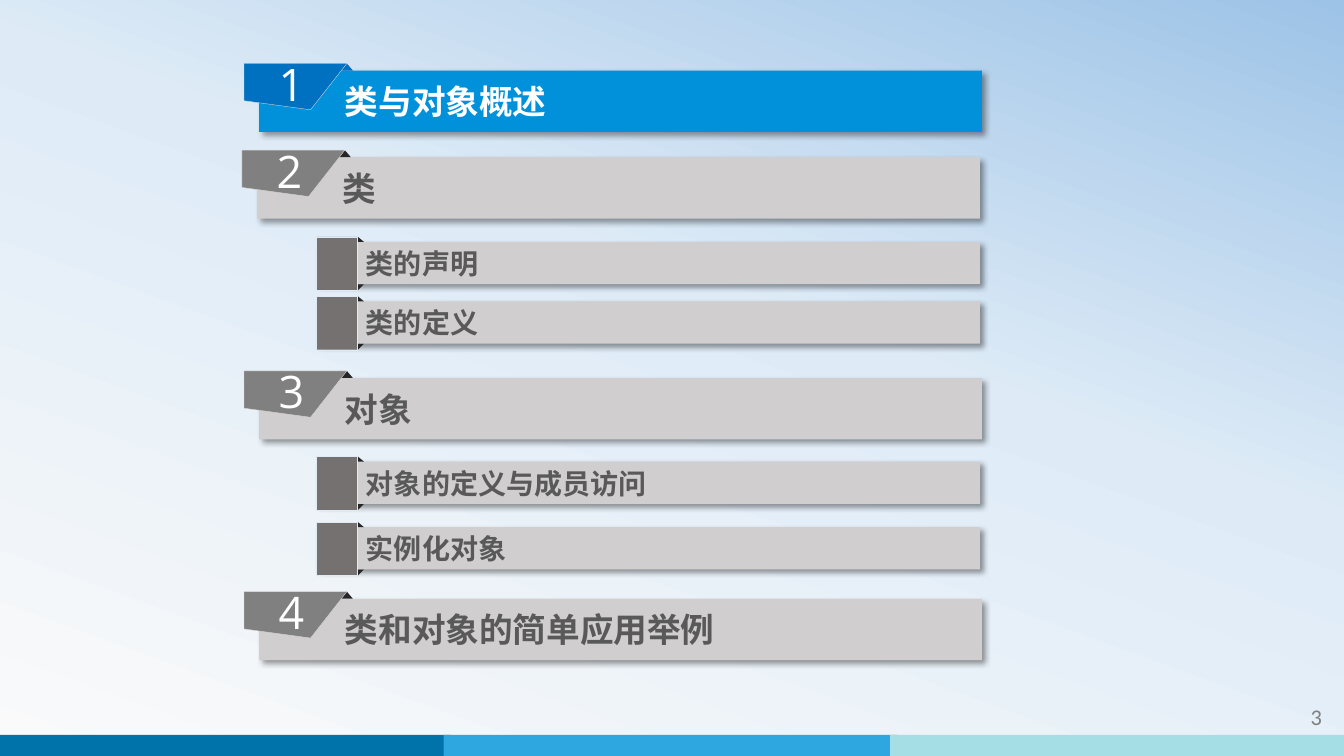
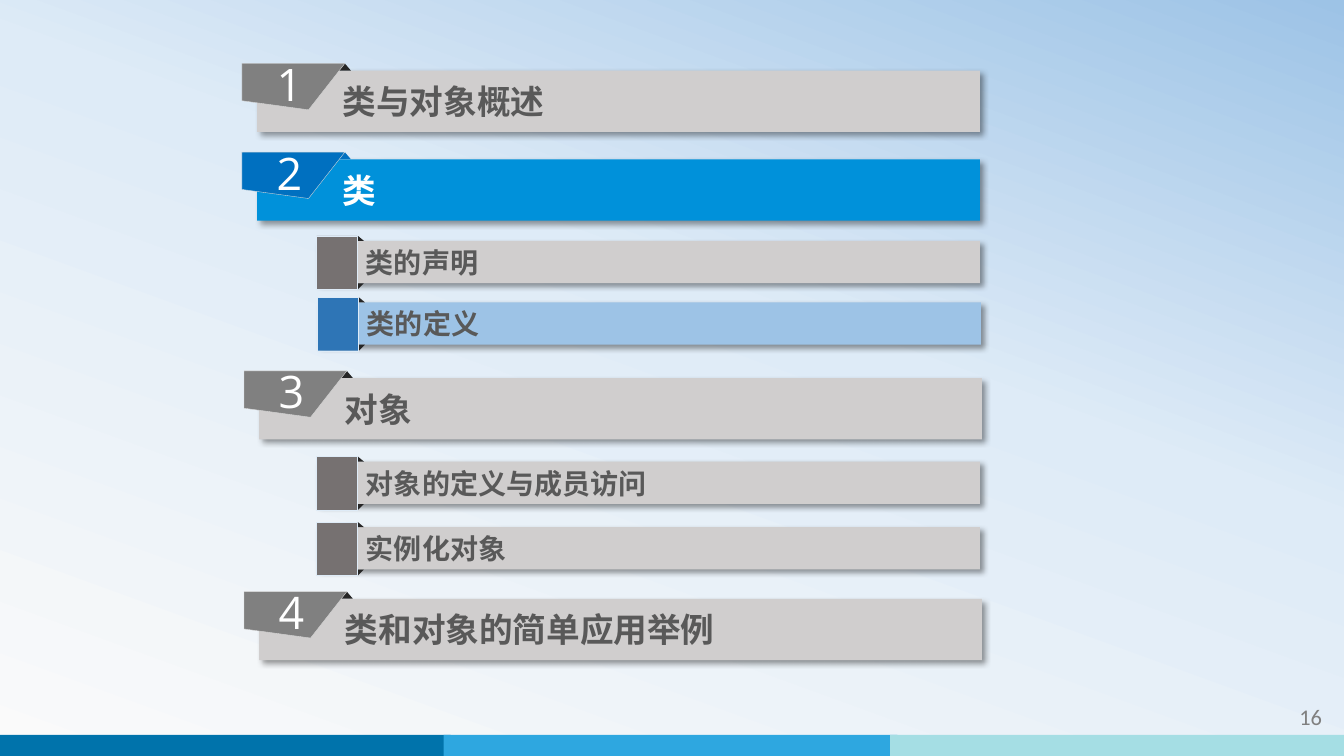
"""Build two agenda slides that highlight the current section."""
from dataclasses import dataclass
from copy import deepcopy

from lxml.etree import SubElement
from pptx import Presentation
from pptx.dml.color import RGBColor
from pptx.enum.shapes import MSO_SHAPE as SHAPE
from pptx.enum.text import MSO_ANCHOR as ANCHOR, PP_ALIGN as ALIGN
from pptx.oxml.ns import qn
from pptx.util import Inches, Pt

COLORS = {
    "white": "FFFFFF", "text": "595959", "page": "808080",
    "bar": "D0CECE", "tab": "808080", "marker": "767171", "fold": "262626",
    "bar_on": "0091DA", "tab_on": "0070C0",
    "sub_on": "9DC3E6", "marker_on": "2E75B6",
    "tab_line": "D9D9D9", "marker_line": "DEEBF7", "shadow": "000000",
    "band1": "0073AB", "band2": "2EA7E0", "band3": "A5DEE4",
    "bg1": "FAFAFA", "bg2": "DEEBF7", "bg3": "9DC3E6",
}
CJK, NUMBER, PAGE = "Noto Sans CJK SC", "Open Sans", "Calibri"
BACKGROUND = (("bg1", 0), ("bg2", 0.58), ("bg3", 1))
BANDS = (("band1", -0.03), ("band2", 4.4), ("band3", 8.83))
TAB = ((0, 0), (1.02, 0), (0.66, 0.46), (0, 0.37))


@dataclass(frozen=True)
class Section:
    number: str
    title: str
    left: float
    top: float
    active: bool = False


@dataclass(frozen=True)
class Topic:
    title: str
    left: float
    top: float
    active: bool = False


@dataclass(frozen=True)
class Agenda:
    page: str
    entries: tuple


def rgb(name: str) -> RGBColor:
    return RGBColor.from_string(COLORS[name])


def paint(sp, fill: str, line: str = "") -> None:
    sp.shadow.inherit = False
    sp.fill.solid()
    sp.fill.fore_color.rgb = rgb(fill)
    if line:
        sp.line.color.rgb = rgb(line)
        sp.line.width = Pt(0.25)
    else:
        sp.line.fill.background()


def add_box(shapes, kind, box: tuple, fill: str, line: str = ""):
    sp = shapes.add_shape(kind, *map(Inches, box))
    paint(sp, fill, line)
    return sp


def add_shadow(sp) -> None:
    effects = sp._element.spPr.find(qn("a:effectLst"))
    shadow = SubElement(effects, qn("a:outerShdw"), blurRad=str(Pt(4)),
                        dist=str(Pt(3)), dir="2700000", algn="tl", rotWithShape="0")
    color = SubElement(shadow, qn("a:srgbClr"), val=COLORS["shadow"])
    SubElement(color, qn("a:alpha"), val="40000")


def write(sp, text: str, size: int, font: str, color: str, align, bold: bool = False):
    tf = sp.text_frame
    tf.word_wrap = True
    tf.vertical_anchor = ANCHOR.MIDDLE
    p = tf.paragraphs[0]
    p.alignment = align
    r = p.add_run()
    r.text = text
    r.font.size, r.font.name, r.font.bold = Pt(size), font, bold
    r.font.color.rgb = rgb(color)
    SubElement(r._r.get_or_add_rPr(), qn("a:ea"), typeface=font)
    return tf


def add_bar(shapes, box: tuple, fill: str, title: str, size: int, color: str,
            indent: float) -> None:
    sp = add_box(shapes, SHAPE.RECTANGLE, box, fill)
    add_shadow(sp)
    write(sp, title, size, CJK, color, ALIGN.LEFT, True).margin_left = Inches(indent)


def add_section(s, item: Section) -> None:
    shapes = s.shapes.add_group_shape().shapes
    x, y, on = item.left, item.top, item.active
    add_bar(shapes, (x + 0.15, y + 0.07, 7.17, 0.61), "bar_on" if on else "bar",
            item.title, 24, "white" if on else "text", 0.85)
    add_box(shapes, SHAPE.ISOSCELES_TRIANGLE, (x + 0.96, y, 0.12, 0.07),
            "tab_on" if on else "fold")
    points = [(Inches(x + dx), Inches(y + dy)) for dx, dy in TAB]
    builder = shapes.build_freeform(*points[0])
    builder.add_line_segments(points[1:], close=True)
    tab = builder.convert_to_shape()
    paint(tab, "tab_on" if on else "tab", "tab_line")
    tf = write(tab, item.number, 32, NUMBER, "white", ALIGN.CENTER)
    tf.margin_left, tf.margin_top = Inches(0.09), Inches(0.04)
    tf.margin_right, tf.margin_bottom = Inches(0.17), Inches(0.1)


def add_topic(s, item: Topic) -> None:
    shapes = s.shapes.add_group_shape().shapes
    x, y, on = item.left, item.top, item.active
    add_bar(shapes, (x + 0.01, y + 0.05, 6.57, 0.42), "sub_on" if on else "bar",
            item.title, 20, "text", 0.48)
    for top, height, turn in ((y, 0.05, 0), (y + 0.47, 0.06, 180)):
        fold = add_box(shapes, SHAPE.ISOSCELES_TRIANGLE,
                       (x + 0.35, top, 0.12, height), "fold")
        fold.rotation = turn
    add_box(shapes, SHAPE.RECTANGLE, (x, y, 0.4, 0.53),
            "marker_on" if on else "marker", "marker_line")


def set_background(master) -> None:
    fill = master.background.fill
    fill.gradient()
    fill.gradient_angle = 70
    stops = master.element.find(".//" + qn("a:gsLst"))
    stops.append(deepcopy(stops[-1]))
    for stop, (name, position) in zip(fill.gradient_stops, BACKGROUND):
        stop.color.rgb = rgb(name)
        stop.position = position


def add_footer(s, page: str) -> None:
    shapes = s.shapes.add_group_shape().shapes
    for name, left in BANDS:
        add_box(shapes, SHAPE.RECTANGLE, (left, 7.29, 4.5, 0.21), name)
    sp = s.shapes.add_textbox(*map(Inches, (11.62, 6.91, 1.59, 0.4)))
    write(sp, page, 16, PAGE, "page", ALIGN.RIGHT)


def add_agenda(prs, agenda: Agenda) -> None:
    s = prs.slides.add_slide(prs.slide_layouts[6])
    add_footer(s, agenda.page)
    for item in agenda.entries:
        if isinstance(item, Section):
            add_section(s, item)
        else:
            add_topic(s, item)


LATER = (
    Section("3", "对象", 2.42, 3.68),
    Topic("对象的定义与成员访问", 3.14, 4.53),
    Topic("实例化对象", 3.14, 5.18),
    Section("4", "类和对象的简单应用举例", 2.42, 5.87),
)
AGENDAS = (
    Agenda("3", (
        Section("1", "类与对象概述", 2.42, 0.63, True),
        Section("2", "类", 2.4, 1.49),
        Topic("类的声明", 3.14, 2.35),
        Topic("类的定义", 3.14, 2.94),
        *LATER)),
    Agenda("16", (
        Section("1", "类与对象概述", 2.4, 0.63),
        Section("2", "类", 2.4, 1.51, True),
        Topic("类的声明", 3.14, 2.34),
        Topic("类的定义", 3.15, 2.95, True),
        *LATER)),
)


def main() -> None:
    prs = Presentation()
    prs.slide_width, prs.slide_height = Inches(13.33), Inches(7.5)
    set_background(prs.slide_master)
    for agenda in AGENDAS:
        add_agenda(prs, agenda)
    prs.save("out.pptx")


main()
